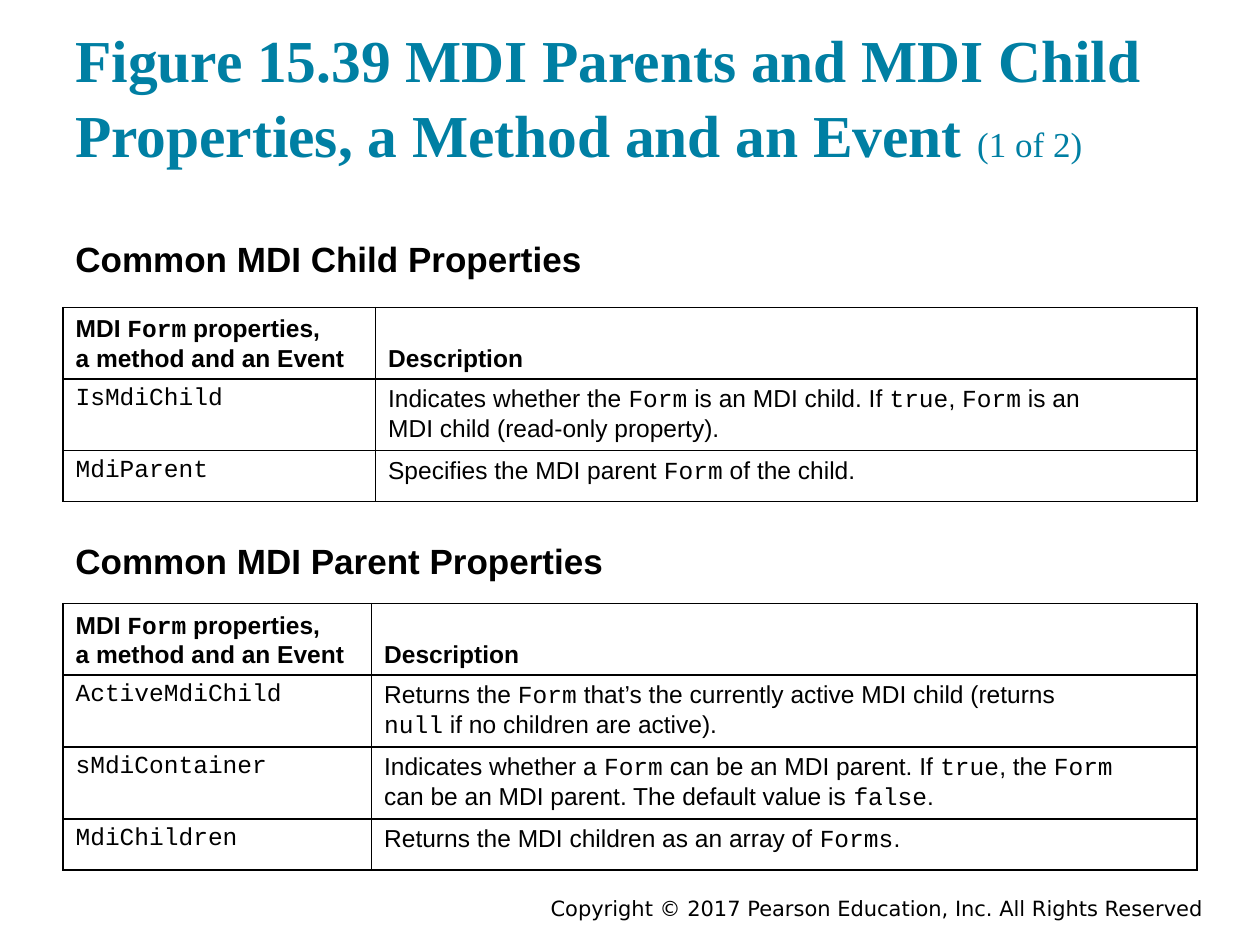
from lxml.etree import SubElement
from pptx import Presentation
from pptx.dml.color import RGBColor
from pptx.enum.text import MSO_ANCHOR as Anchor, PP_ALIGN as Align
from pptx.oxml.ns import qn
from pptx.util import Cm, Pt

BLACK, WHITE, TEAL = "000000", "FFFFFF", "007FA3"
LEFT, WIDTH = 1.27, 22.86
HEADER = (["MDI `Form` properties,", "a method and an Event"], ["Description"])
CHILD_ROWS = [
    HEADER,
    (["`IsMdiChild`"],
     ["Indicates whether the `Form` is an MDI child. If `true`, `Form` is an",
      "MDI child (read-only property)."]),
    (["`MdiParent`"], ["Specifies the MDI parent `Form` of the child."]),
]
PARENT_ROWS = [
    HEADER,
    (["`ActiveMdiChild`"],
     ["Returns the `Form` that’s the currently active MDI child (returns",
      "`null` if no children are active)."]),
    (["`sMdiContainer`"],
     ["Indicates whether a `Form` can be an MDI parent. If `true`, the `Form`",
      "can be an MDI parent. The default value is `false`."]),
    (["`MdiChildren`"], ["Returns the MDI children as an array of `Forms`."]),
]


def color(value):
    """Turn a hex string into a colour."""
    return RGBColor.from_string(value)


def add_run(paragraph, text, font, size, bold=False, ink=BLACK):
    """Append one formatted run to a paragraph."""
    run = paragraph.add_run()
    run.text = text
    run.font.name = font
    run.font.size = Pt(size)
    run.font.bold = bold
    run.font.color.rgb = color(ink)


def add_text(slide, left, top, width, height, anchor=Anchor.TOP, inset=0.25):
    """Add a wrapping text box and return its first paragraph."""
    frame = slide.shapes.add_textbox(Cm(left), Cm(top), Cm(width), Cm(height)).text_frame
    frame.word_wrap = True
    frame.vertical_anchor = anchor
    frame.margin_top = frame.margin_bottom = Cm(inset)
    return frame.paragraphs[0]


def add_heading(slide, top, text):
    """Add a bold heading above a table."""
    paragraph = add_text(slide, LEFT, top, WIDTH, 1.45)
    paragraph.line_spacing = 1.1
    add_run(paragraph, text, "Arial", 20, bold=True)


def add_borders(cell):
    """Draw a thin black line on each side of a cell."""
    properties = cell._tc.get_or_add_tcPr()
    for side in ("a:lnL", "a:lnR", "a:lnT", "a:lnB"):
        line = SubElement(properties, qn(side), w=str(Pt(1)))
        fill = SubElement(line, qn("a:solidFill"))
        SubElement(fill, qn("a:srgbClr"), val=BLACK)


def fill_cell(cell, lines, bold):
    """Write lines into a cell, setting the parts in backticks as code."""
    add_borders(cell)
    cell.fill.solid()
    cell.fill.fore_color.rgb = color(WHITE)
    cell.vertical_anchor = Anchor.BOTTOM if bold else Anchor.TOP
    frame = cell.text_frame
    for number, line in enumerate(lines):
        paragraph = frame.add_paragraph() if number else frame.paragraphs[0]
        for part, text in enumerate(line.split("`")):
            if text:
                add_run(paragraph, text, "Courier New" if part % 2 else "Arial", 14, bold)


def add_property_table(slide, top, first_width, heights, rows):
    """Add a two-column table with a bold header row."""
    table = slide.shapes.add_table(
        len(rows), 2, Cm(LEFT), Cm(top), Cm(WIDTH), Cm(sum(heights))).table
    table.first_row = table.horz_banding = False
    table.columns[0].width = Cm(first_width)
    table.columns[1].width = Cm(WIDTH - first_width)
    for index, (height, row) in enumerate(zip(heights, rows)):
        table.rows[index].height = Cm(height)
        for column, lines in enumerate(row):
            fill_cell(table.cell(index, column), lines, bold=index == 0)


def main():
    """Build the slide and save it."""
    presentation = Presentation()
    presentation.slide_width, presentation.slide_height = Cm(25.4), Cm(19.05)
    slide = presentation.slides.add_slide(presentation.slide_layouts[6])

    title = add_text(slide, LEFT, 0.61, WIDTH, 3.05, Anchor.BOTTOM)
    title.line_spacing = 1.05
    add_run(title, "Figure 15.39 MDI Parents and MDI Child Properties, a Method and an Event ",
            "Times New Roman", 34, bold=True, ink=TEAL)
    add_run(title, "(1 of 2)", "Times New Roman", 20, ink=TEAL)

    add_heading(slide, 4.45, "Common MDI Child Properties")
    add_property_table(slide, 6.2, 6.3, [1.41, 1.41, 1.03], CHILD_ROWS)
    add_heading(slide, 10.54, "Common MDI Parent Properties")
    add_property_table(slide, 12.17, 6.22, [1.41, 1.45, 1.45, 1.03], PARENT_ROWS)

    footer = add_text(slide, 7.62, 17.98, 16.89, 0.64, Anchor.MIDDLE, inset=0)
    footer.alignment = Align.RIGHT
    add_run(footer, "Copyright © 2017 Pearson Education, Inc. All Rights Reserved",
            "DejaVu Sans", 12)
    presentation.save("out.pptx")


if __name__ == "__main__":
    main()
